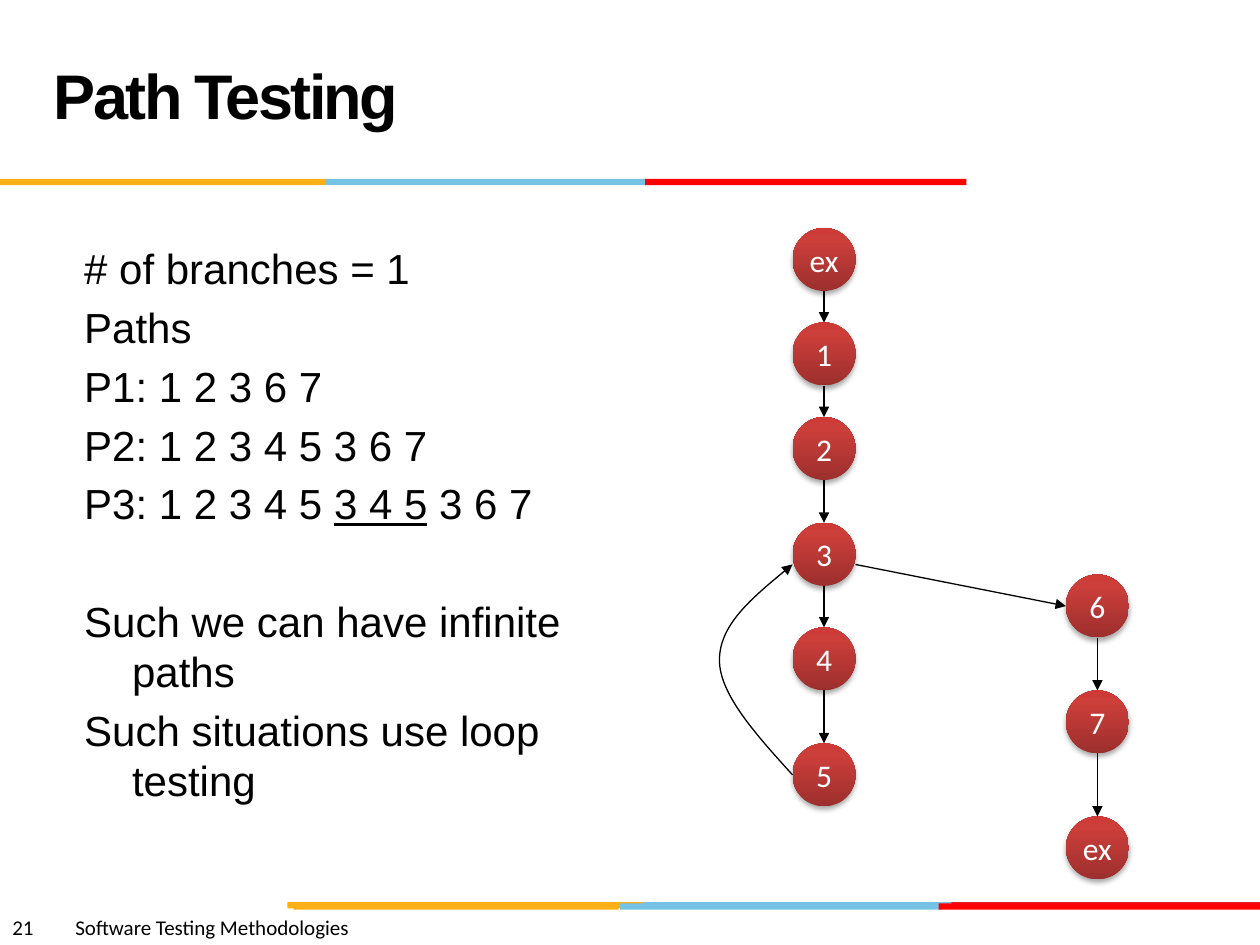
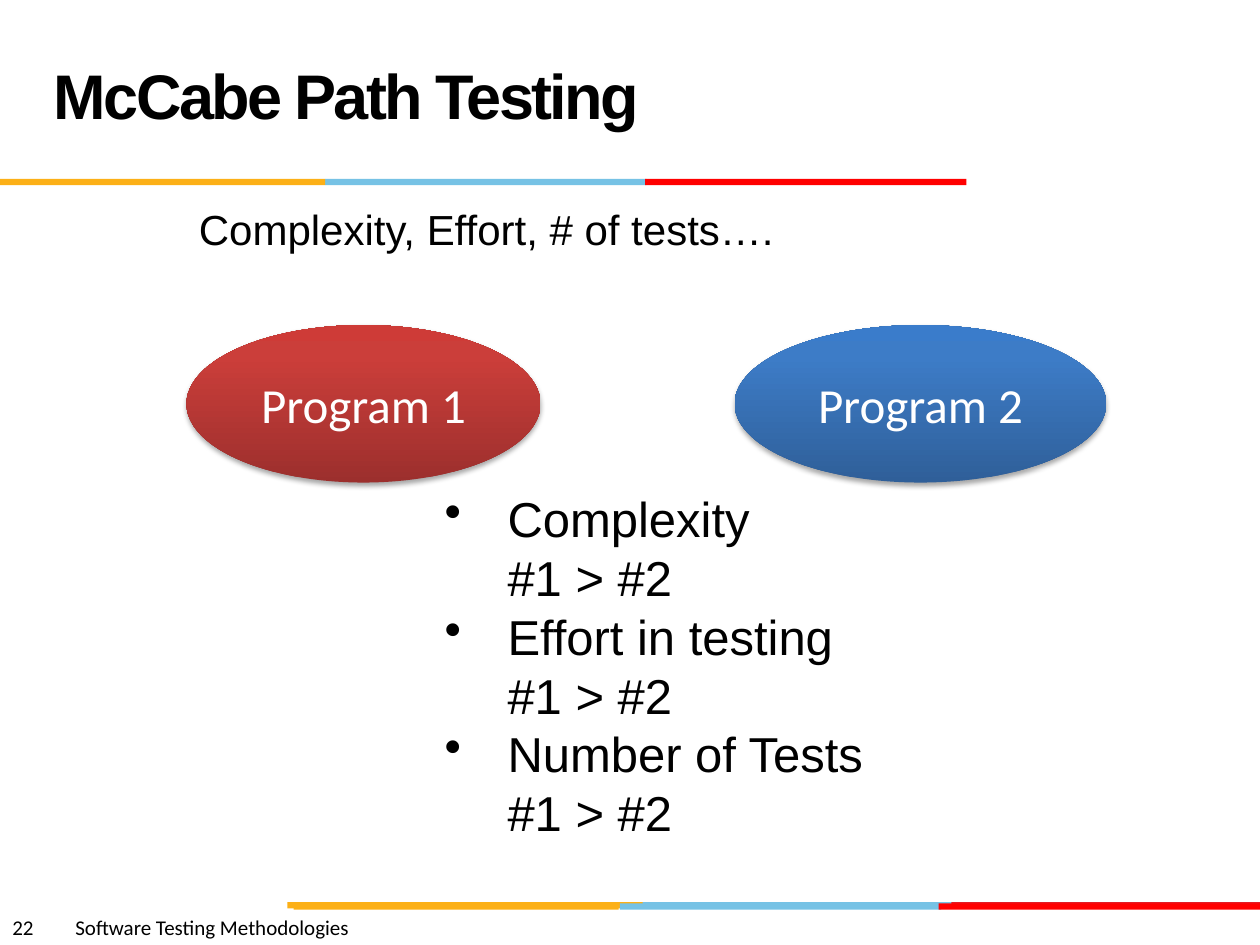
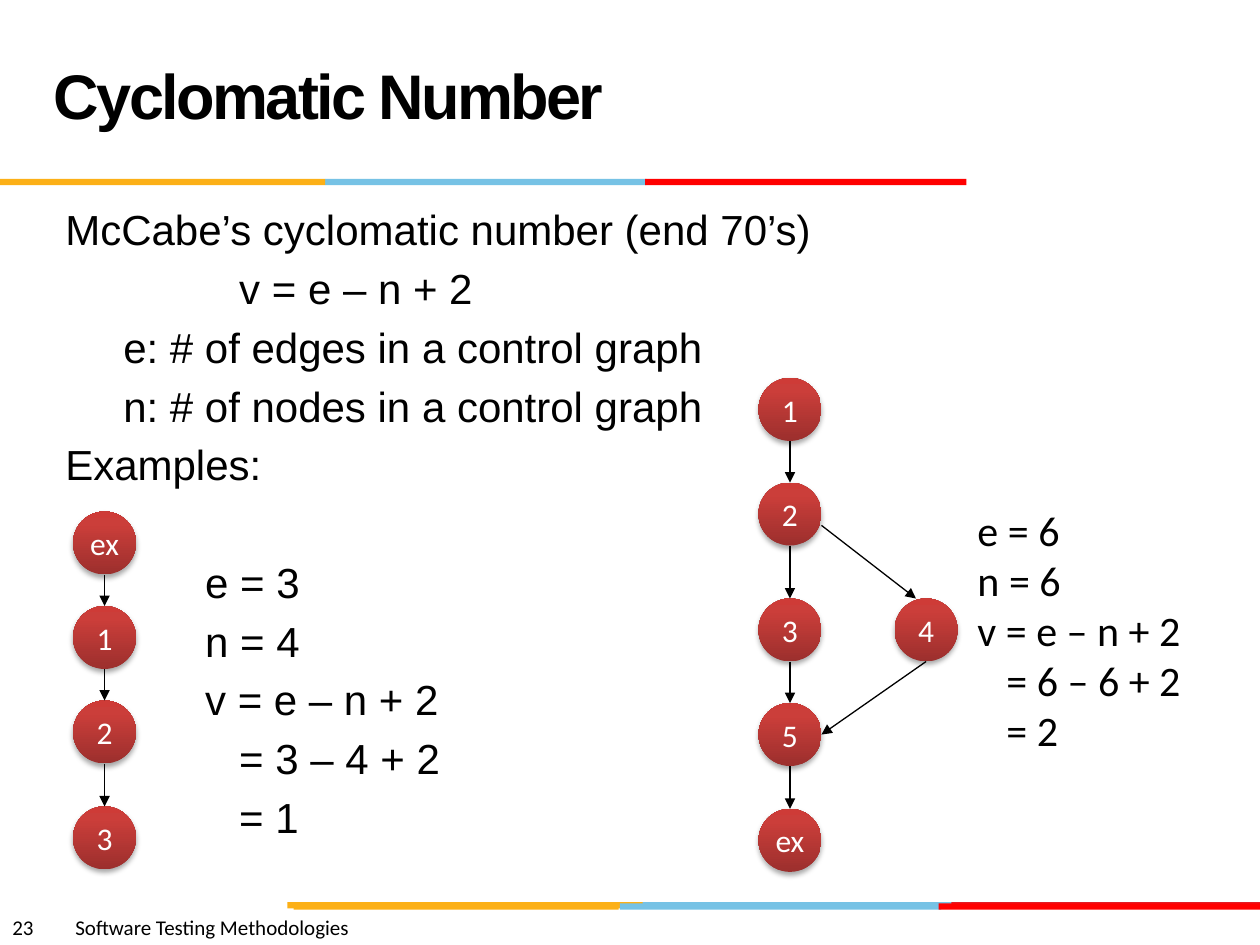
import pptx
import pptx.util
import pptx.dml.color
import pptx.enum.shapes
import pptx.enum.text
import pptx.oxml
import pptx.oxml.ns
from lxml import etree

Inches, Pt = pptx.util.Inches, pptx.util.Pt
SHAPE = pptx.enum.shapes.MSO_SHAPE
ALIGN = pptx.enum.text.PP_ALIGN
MIDDLE = pptx.enum.text.MSO_ANCHOR.MIDDLE
qn = pptx.oxml.ns.qn
NS = 'xmlns:a="http://schemas.openxmlformats.org/drawingml/2006/main"'

AMBER, SKY, RED, CRIMSON = "FCB017", "76C2E5", "FF0000", "E31C24"
RED_BALL = ("9C2F2D", "CB3E3A", "CE3B37")
BLUE_BALL = ("2F5F99", "3D7CC7", "3A7CCB")
NODE = 0.5

# Each band: top and its (left, width, colour) pieces
BANDS = [
    (7.16, [(5.06, 2.55, SKY), (7.55, 2.45, CRIMSON), (2.28, 2.82, AMBER)]),
    (7.17, [(4.92, 2.55, SKY), (2.33, 2.58, AMBER), (7.45, 2.55, RED)]),
    (1.42, [(2.58, 2.55, SKY), (0, 2.58, AMBER), (5.12, 2.55, RED)]),
]

# Text formats
BODY = {"name": "Arial", "size": Pt(24)}
LARGE = {"name": "Arial", "size": Pt(28)}
RESULT = {"name": "Calibri", "size": Pt(24)}
TITLE = {"name": "Arial", "size": Pt(36), "bold": True}
FOOTER = {"name": "Calibri", "size": Pt(12)}

# Paragraph spacing: lines, space between paragraphs, space of a skipped line
BODY_LINE, BODY_GAP, SECTION_GAP = Pt(28.6), Pt(5), Pt(38.6)
LARGE_LINE = Pt(33.6)


def color(value):
    return pptx.dml.color.RGBColor.from_string(value)


def apply(target, values):
    for key, value in values.items():
        setattr(target, key, value)


def add_xml(parent, xml):
    parent.append(pptx.oxml.parse_xml(xml))


class Deck:
    def __init__(self):
        self.prs = pptx.Presentation()
        self.prs.slide_width, self.prs.slide_height = Inches(10), Inches(7.5)
        self.s = None

    def slide(self, number, title):
        self.s = self.prs.slides.add_slide(self.prs.slide_layouts[6])
        for top, pieces in BANDS:
            for left, width, fill in pieces:
                sp = self.shape(SHAPE.RECTANGLE, left, top, width, 0.05)
                sp.fill.solid()
                sp.fill.fore_color.rgb = color(fill)
        # Footer: slide number, tab, course name
        p = self.text((0, 7.21, 5, 0.3),
                      [{"text": f"{number}\tSoftware Testing Methodologies"}],
                      FOOTER).paragraphs[0]
        add_xml(p._p.get_or_add_pPr(),
                f'<a:tabLst {NS}><a:tab pos="{Inches(0.54)}" algn="l"/></a:tabLst>')
        # Title
        tf = self.text((0.33, 0.17, 6.92, 1.25), [{"text": title}], TITLE,
                       line=Pt(36))
        tf.vertical_anchor = MIDDLE
        tf.paragraphs[0].runs[0]._r.get_or_add_rPr().set("spc", "-150")

    def shape(self, kind, *box):
        sp = self.s.shapes.add_shape(kind, *map(Inches, box))
        sp.shadow.inherit = False
        sp.line.fill.background()
        return sp

    def text(self, box, items, fmt, line=None, gap=Pt(0)):
        """Items hold text or runs, and may set margin, hang, gap, bullet."""
        tf = self.s.shapes.add_textbox(*map(Inches, box)).text_frame
        tf.word_wrap = True
        for i, item in enumerate(items):
            p = tf.paragraphs[0] if i == 0 else tf.add_paragraph()
            pPr = p._p.get_or_add_pPr()
            pPr.set("marL", str(Inches(item.get("margin", 0))))
            pPr.set("indent", str(-Inches(item.get("hang", 0))))
            if "bullet" in item:
                add_xml(pPr, f'<a:buChar {NS} char="{item["bullet"]}"/>')
            if line:
                p.line_spacing = line
            if i:
                p.space_before = item.get("gap", gap)
            for words, extra in item.get("runs") or [(item["text"], {})]:
                self.run(p, words, {**fmt, **extra})
        return tf

    def run(self, p, words, fmt, fill="000000"):
        r = p.add_run()
        r.text = words
        apply(r.font, fmt)
        r.font.color.rgb = color(fill)

    def ball(self, kind, box, label, size, colors=RED_BALL):
        sp = self.shape(kind, *box)
        spPr = sp._element.spPr
        # Three-stop gradient from the bottom up
        sp.fill.background()
        stops = "".join(f'<a:gs pos="{pos}"><a:srgbClr val="{c}"/></a:gs>'
                        for pos, c in zip((0, 80000, 100000), colors))
        spPr.replace(spPr.find(qn("a:noFill")), pptx.oxml.parse_xml(
            f'<a:gradFill {NS}><a:gsLst>{stops}</a:gsLst>'
            '<a:lin ang="16200000" scaled="0"/></a:gradFill>'))
        add_xml(spPr.find(qn("a:effectLst")),
                f'<a:outerShdw {NS} blurRad="{Pt(3.1)}" dist="{Pt(1.8)}" '
                'dir="5400000" rotWithShape="0"><a:srgbClr val="000000">'
                '<a:alpha val="35000"/></a:srgbClr></a:outerShdw>')
        tf = sp.text_frame
        apply(tf, {"word_wrap": False, "vertical_anchor": MIDDLE})
        p = tf.paragraphs[0]
        p.alignment = ALIGN.CENTER
        self.run(p, label, {"name": "Calibri", "size": Pt(size)}, "FFFFFF")

    def node(self, label, left, top):
        self.ball(SHAPE.FLOWCHART_CONNECTOR, (left, top, NODE, NODE), label, 18)

    def chain(self, left, nodes):
        """A column of nodes, each with an arrow to the next."""
        for label, top in nodes:
            self.node(label, left, top)
        middle = left + NODE / 2
        for (_, top), (_, below) in zip(nodes, nodes[1:]):
            self.arrow((middle, top + NODE), (middle, below))

    def arrow_line(self, sp):
        sp.line.width = Pt(0.75)
        sp.line.color.rgb = color("000000")
        add_xml(sp.line._get_or_add_ln(), f'<a:tailEnd {NS} type="triangle"/>')

    def arrow(self, start, end):
        sp = self.s.shapes.add_connector(
            pptx.enum.shapes.MSO_CONNECTOR.STRAIGHT, *map(Inches, start + end))
        self.arrow_line(sp)
        etree.SubElement(sp._element.spPr, qn("a:effectLst"))

    def curve(self, start, points):
        """Cubic curves: every three points are two controls and an end."""
        builder = self.s.shapes.build_freeform(
            Inches(start[0]), Inches(start[1]), scale=1.0)
        builder.add_line_segments(
            [(Inches(x), Inches(y)) for x, y in points], close=False)
        sp = builder.convert_to_shape()
        outline = next(sp._element.iter(qn("a:path")))
        lines = outline.findall(qn("a:lnTo"))
        for i in range(0, len(lines), 3):
            bezier = etree.SubElement(outline, qn("a:cubicBezTo"))
            for ln in lines[i:i + 3]:
                bezier.append(ln[0])
                outline.remove(ln)
        sp.fill.background()
        sp.shadow.inherit = False
        self.arrow_line(sp)


def path_testing(deck):
    deck.slide(21, "Path Testing")
    items = [
        {"text": "# of branches = 1"},
        {"text": "Paths"},
        {"text": "P1: 1 2 3 6 7"},
        {"text": "P2: 1 2 3 4 5 3 6 7"},
        {"runs": [("P3: 1 2 3 4 5 ", {}), ("3 4 5", {"underline": True}),
                  (" 3 6 7", {})]},
        {"text": "Such we can have infinite paths", "gap": SECTION_GAP},
        {"text": "Such situations use loop testing"},
    ]
    deck.text((0.57, 1.88, 4.58, 4.81),
              [{"margin": 0.38, "hang": 0.38, **item} for item in items],
              BODY, BODY_LINE, BODY_GAP)
    # Control graph with a loop from 5 back to 3
    deck.chain(6.29, [("ex", 1.81), ("1", 2.56), ("2", 3.31), ("3", 4.15),
                      ("4", 4.98), ("5", 5.9)])
    deck.chain(8.46, [("6", 4.56), ("7", 5.48), ("ex", 6.48)])
    deck.arrow((6.79, 4.48), (8.46, 4.81))
    deck.curve((6.29, 6.15), [(6, 5.83), (5.71, 5.51), (5.71, 5.24),
                              (5.71, 4.96), (6, 4.72), (6.29, 4.48)])


def mccabe_path_testing(deck):
    deck.slide(22, "McCabe Path Testing")
    deck.text((1.48, 1.57, 5.96, 0.6),
              [{"text": "Complexity, Effort, # of tests…."}], BODY, BODY_LINE)
    deck.ball(SHAPE.OVAL, (1.48, 2.58, 2.81, 1.25), "Program 1", 28)
    deck.ball(SHAPE.OVAL, (5.83, 2.58, 2.95, 1.25), "Program 2", 28, BLUE_BALL)
    # Each measure compared between the programs
    items = []
    for measure in ("Complexity", "Effort in testing", "Number of Tests"):
        items += [{"text": measure, "margin": 0.5, "hang": 0.5, "bullet": "•"},
                  {"text": "#1 > #2", "margin": 0.5}]
    deck.text((3.43, 3.83, 3.56, 3), items, LARGE, LARGE_LINE)


def cyclomatic_number(deck):
    deck.slide(23, "Cyclomatic Number")
    deck.text((0.42, 1.57, 9.08, 5.4), [
        {"text": "McCabe’s cyclomatic number (end 70’s)"},
        {"text": "v = e – n + 2", "margin": 1.38},
        {"text": "e: # of edges in a control graph", "margin": 0.46},
        {"text": "n: # of nodes in a control graph", "margin": 0.46},
        {"text": "Examples:"},
        {"text": "e = 3", "margin": 1.11, "gap": SECTION_GAP},
        {"text": "n = 4", "margin": 1.11},
        {"text": "v = e – n + 2", "margin": 1.11},
        {"text": "= 3 – 4 + 2", "margin": 1.38},
        {"text": "= 1", "margin": 1.38},
    ], BODY, BODY_LINE, BODY_GAP)
    # Straight graph
    deck.chain(0.58, [("ex", 4.06), ("1", 4.81), ("2", 5.56), ("3", 6.4)])
    # Graph with one branch
    deck.chain(6.02, [("1", 3), ("2", 3.83), ("3", 4.75), ("5", 5.58),
                      ("ex", 6.42)])
    deck.node("4", 7.1, 4.75)
    deck.arrow((6.52, 4.17), (7.27, 4.75))
    deck.arrow((7.35, 5.25), (6.52, 5.83))
    deck.text((7.66, 3.96, 2.07, 2.1), [
        {"text": "e = 6"},
        {"text": "n = 6"},
        {"text": "v = e – n + 2"},
        {"text": "= 6 – 6 + 2", "margin": 0.23},
        {"text": "= 2", "margin": 0.23},
    ], RESULT, BODY_LINE)


def main():
    deck = Deck()
    path_testing(deck)
    mccabe_path_testing(deck)
    cyclomatic_number(deck)
    deck.prs.save("out.pptx")


if __name__ == "__main__":
    main()
